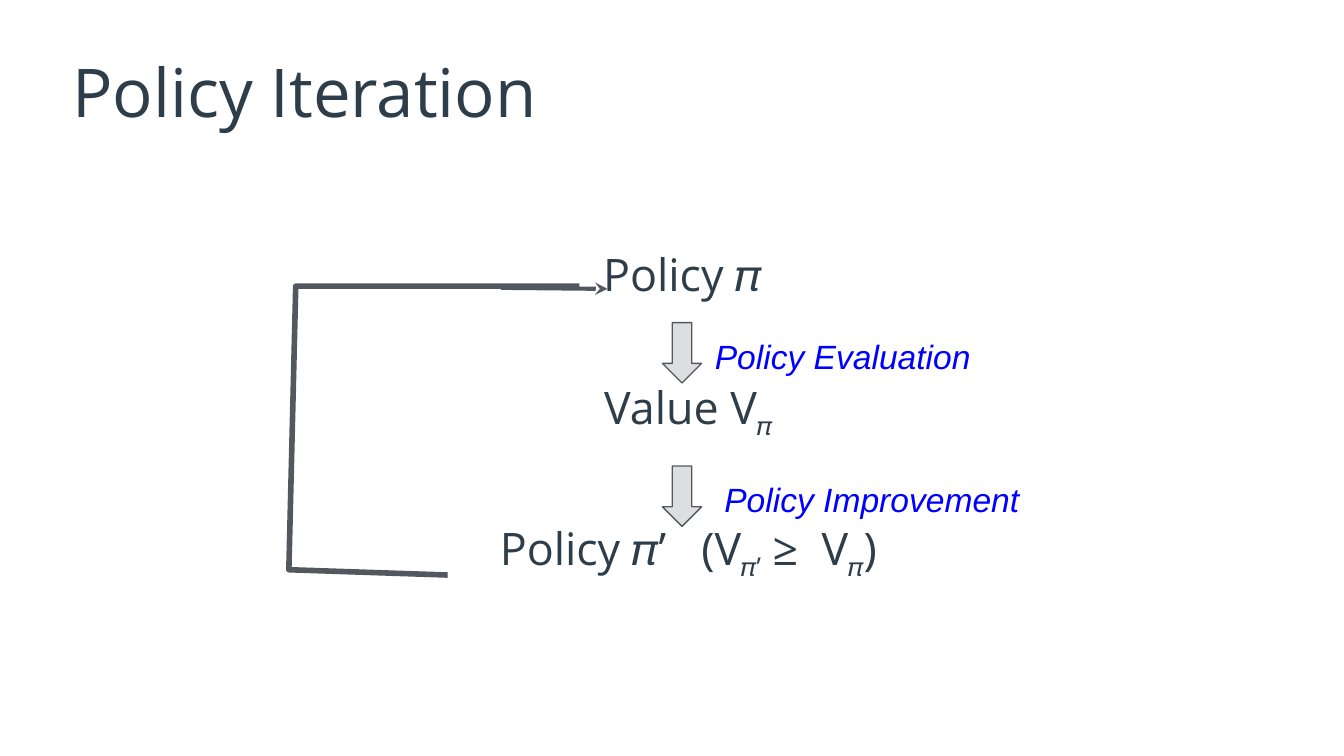
"""Build the Policy Iteration slide."""
from lxml import etree
from pptx import Presentation
from pptx.dml.color import RGBColor
from pptx.enum.shapes import MSO_CONNECTOR, MSO_SHAPE
from pptx.enum.text import MSO_ANCHOR, MSO_AUTO_SIZE, PP_ALIGN
from pptx.oxml.ns import qn
from pptx.util import Cm, Pt

STRAIGHT = MSO_CONNECTOR.STRAIGHT
DOWN_ARROW = MSO_SHAPE.DOWN_ARROW
TOP, MIDDLE = MSO_ANCHOR.TOP, MSO_ANCHOR.MIDDLE
LEFT, CENTER = PP_ALIGN.LEFT, PP_ALIGN.CENTER
NO_AUTOFIT = MSO_AUTO_SIZE.NONE

SLATE = RGBColor(0x2D, 0x3D, 0x4A)
BLUE = RGBColor(0x00, 0x00, 0xFF)
GREY = RGBColor(0x53, 0x58, 0x5F)
PALE = RGBColor(0xDC, 0xDE, 0xE0)

PLAIN = {}
SUB = {"baseline": "-25000"}
WIDE = {"spc": "1250"}
MEDIUM = {"spc": "620"}

STEPS = [
    [("Policy 𝜋 ", PLAIN)],
    [("Value V", PLAIN), ("𝜋", SUB)],
    [("Policy 𝜋’", PLAIN), (" ", WIDE), ("(V", PLAIN), ("𝜋’", SUB),
     (" ≥", PLAIN), (" ", MEDIUM), ("V", PLAIN), ("𝜋", SUB), (")", PLAIN)],
]
STAGES = [("Policy Evaluation", 13.26, 6.1), ("Policy Improvement", 13.44, 8.81)]
LOOP = [(8.46, 10.87), (5.46, 10.77), (5.59, 5.41), (10.95, 5.41)]


def place(sp, left, top, width, height):
    """Move and size a shape, in centimetres."""
    sp.left, sp.top, sp.width, sp.height = map(Cm, (left, top, width, height))


def set_frame(tf, inset, anchor):
    """Set wrapping, insets and anchor of a text frame."""
    tf.word_wrap = True
    tf.auto_size = NO_AUTOFIT
    tf.vertical_anchor = anchor
    tf.margin_left = tf.margin_right = tf.margin_top = tf.margin_bottom = Cm(inset)


def set_font(r, name, size, color):
    """Set the face, size and colour of a run."""
    r.font.name, r.font.size = name, Pt(size)
    r.font.color.rgb = color


def set_line(sp, width):
    """Give a shape or connector a grey line."""
    sp.line.color.rgb = GREY
    sp.line.width = Pt(width)


def fill_title(sp, text):
    """Fill and format the title placeholder."""
    place(sp, 1.27, 0.85, 22.86, 1.65)
    tf = sp.text_frame
    tf.text = text
    set_frame(tf, 0.1, TOP)
    p = tf.paragraphs[0]
    p.alignment = LEFT
    set_font(p.runs[0], "Open Sans", 36, SLATE)


def fill_steps(sp, steps):
    """Fill the body placeholder with centred, spaced steps."""
    place(sp, 1.47, 2.54, 22.86, 10.57)
    tf = sp.text_frame
    set_frame(tf, 0.1, MIDDLE)
    for i, parts in enumerate(steps):
        p = tf.add_paragraph() if i else tf.paragraphs[0]
        p.alignment = CENTER
        p.space_before = Pt(42.6 if i else 7)
        pPr = p._p.get_or_add_pPr()
        pPr.set("marL", str(Cm(0.3)))
        pPr.set("indent", str(Cm(-0.08)))
        etree.SubElement(pPr, qn("a:buNone"))
        for text, attributes in parts:
            r = p.add_run()
            r.text = text
            set_font(r, "Open Sans", 24, SLATE)
            for name, value in attributes.items():
                r.font._element.set(name, value)


def add_stage(slide, text, left, top):
    """Add a down arrow with its blue label."""
    sp = slide.shapes.add_textbox(Cm(left), Cm(top), Cm(9.04), Cm(1.14))
    tf = sp.text_frame
    tf.text = text
    set_frame(tf, 0.25, TOP)
    r = tf.paragraphs[0].runs[0]
    set_font(r, "Arial", 18, BLUE)
    r.font.italic = True
    arrow = slide.shapes.add_shape(DOWN_ARROW, Cm(12.52), Cm(top), Cm(0.74), Cm(1.14))
    arrow.shadow.inherit = False
    arrow.fill.solid()
    arrow.fill.fore_color.rgb = PALE
    set_line(arrow, 0.75)


def add_loop(slide, points):
    """Add the open path that leads back to the first step."""
    start, *rest = [(Cm(x), Cm(y)) for x, y in points]
    builder = slide.shapes.build_freeform(*start)
    builder.add_line_segments(rest, close=False)
    sp = builder.convert_to_shape()
    sp.shadow.inherit = False
    sp.fill.background()
    set_line(sp, 3)


def add_arrow(slide, x1, y1, x2, y2):
    """Add a straight connector with a stealth head."""
    cxn = slide.shapes.add_connector(STRAIGHT, Cm(x1), Cm(y1), Cm(x2), Cm(y2))
    set_line(cxn, 2.25)
    etree.SubElement(cxn.line._get_or_add_ln(), qn("a:tailEnd"), type="stealth")
    etree.SubElement(cxn._element.spPr, qn("a:effectLst"))


def main():
    """Build and save the slide."""
    prs = Presentation()
    prs.slide_width, prs.slide_height = Cm(25.4), Cm(14.29)
    slide = prs.slides.add_slide(prs.slide_layouts[1])
    fill_title(slide.shapes.title, "Policy Iteration")
    fill_steps(slide.placeholders[1], STEPS)
    for text, left, top in STAGES:
        add_stage(slide, text, left, top)
    add_loop(slide, LOOP)
    add_arrow(slide, 9.47, 5.44, 11.48, 5.46)
    prs.save("out.pptx")


if __name__ == "__main__":
    main()
